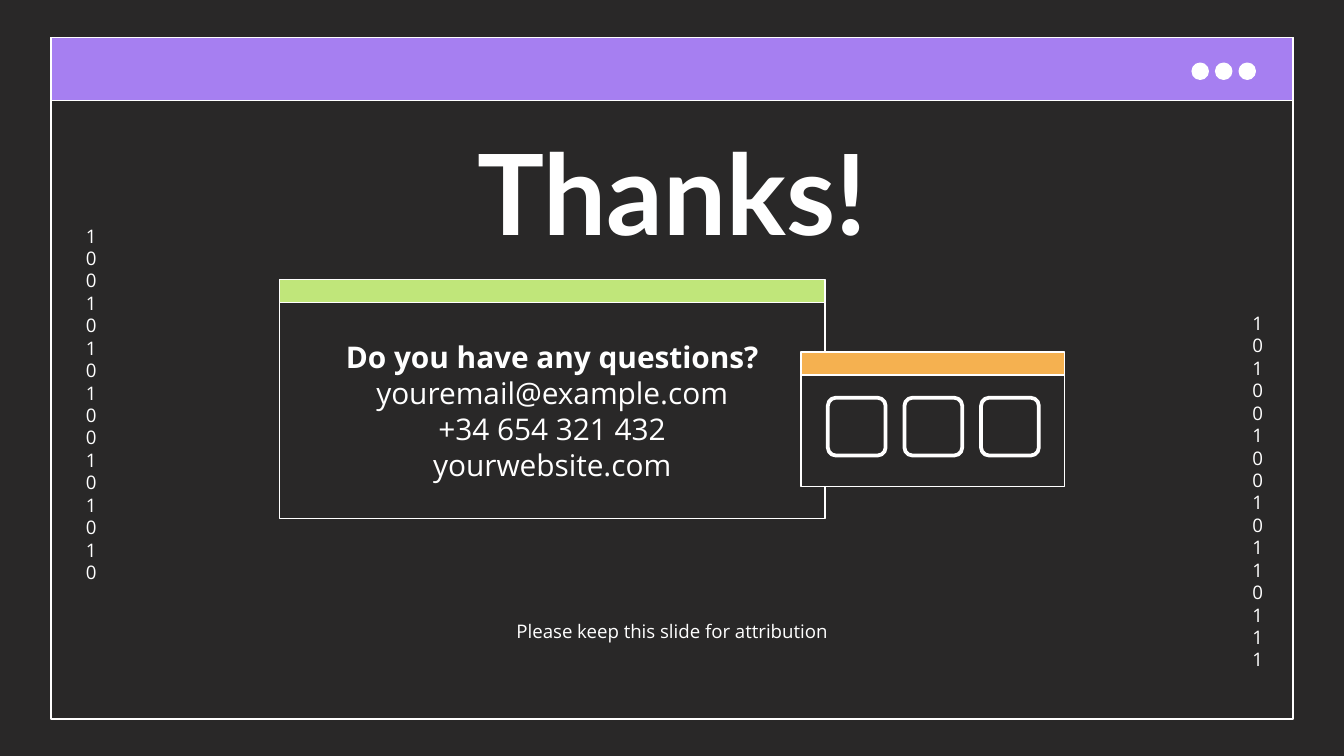
from pptx import Presentation
from pptx.dml.color import RGBColor
from pptx.enum.shapes import MSO_SHAPE
from pptx.enum.text import MSO_ANCHOR, PP_ALIGN
from pptx.util import Inches, Pt

DARK, WHITE = "292828", "FFFFFF"
PURPLE, GREEN, ORANGE = "A67FF1", "C0E67A", "F5B150"


def color(value):
    return RGBColor.from_string(value)


def add_panel(page, box, fill=None, kind=MSO_SHAPE.RECTANGLE, line_width=0.75):
    """Add a white-edged shape; no fill colour leaves it see-through."""
    panel = page.shapes.add_shape(kind, *map(Inches, box))
    panel.shadow.inherit = False
    if fill:
        panel.fill.solid()
        panel.fill.fore_color.rgb = color(fill)
    else:
        panel.fill.background()
    panel.line.color.rgb = color(WHITE)
    panel.line.width = Pt(line_width)
    return panel


def write_lines(shape, lines, size, font="Open Sans", bold_first=False,
                anchor=MSO_ANCHOR.TOP):
    frame = shape.text_frame
    frame.word_wrap = True
    frame.vertical_anchor = anchor
    for side in ("left", "top", "right", "bottom"):
        setattr(frame, f"margin_{side}", Inches(0.1))
    for index, line in enumerate(lines):
        para = frame.paragraphs[0] if index == 0 else frame.add_paragraph()
        para.alignment = PP_ALIGN.CENTER
        span = para.add_run()
        span.text = line
        style = {"name": font, "size": Pt(size), "bold": bold_first and index == 0}
        for name, value in style.items():
            setattr(span.font, name, value)
        span.font.color.rgb = color(WHITE)


def add_label(page, box, text, size, **style):
    label = page.shapes.add_textbox(*map(Inches, box))
    write_lines(label, [text], size, **style)


def add_browser_frame(page, box):
    left, top, width, _ = box
    add_panel(page, box)
    add_panel(page, (left, top, width, 0.47), PURPLE)
    for index in range(3):
        dot = (left + width - 0.75 + index * 0.175, top + 0.19, 0.12, 0.12)
        add_panel(page, dot, WHITE, MSO_SHAPE.OVAL)


def add_window(page, box, bar_color):
    """Add a window with a title bar and return its body below the bar."""
    left, top, width, height = box
    bar = 0.17
    body = add_panel(page, (left, top + bar, width, height - bar), DARK)
    add_panel(page, (left, top, width, bar), bar_color)
    return body


def add_contact_window(page, box):
    body = add_window(page, box, GREEN)
    lines = ["Do you have any questions?", "youremail@example.com",
             "+34 654 321 432", "yourwebsite.com"]
    write_lines(body, lines, 16, bold_first=True, anchor=MSO_ANCHOR.MIDDLE)


def add_social_window(page, box):
    left, top, _, _ = box
    add_window(page, box, ORANGE)
    for index in range(3):
        tile = (left + 0.2 + index * 0.57, top + 0.34, 0.43, 0.43)
        icon = add_panel(page, tile, None, MSO_SHAPE.ROUNDED_RECTANGLE, 2)
        icon.adjustments[0] = 0.14


def build_thanks_page(page):
    page.background.fill.solid()
    page.background.fill.fore_color.rgb = color(DARK)
    add_browser_frame(page, (0.38, 0.28, 9.24, 5.07))
    # The narrow boxes wrap after every digit.
    add_label(page, (9.22, 2.22, 0.24, 2.8), "1010010010110111", 10)
    add_label(page, (0.54, 1.57, 0.24, 2.8), "1001010100101010", 10)
    add_label(page, (2.57, 0.82, 4.86, 1.16), "Thanks!", 60,
              font="Lato", bold_first=True)
    add_label(page, (2.73, 4.53, 4.54, 0.28),
              "Please keep this slide for attribution", 10)
    add_contact_window(page, (2.08, 2.08, 4.06, 1.78))
    add_social_window(page, (5.96, 2.62, 1.96, 1))


def main():
    deck = Presentation()
    deck.slide_width = Inches(10)
    deck.slide_height = deck.slide_width * 9 // 16
    build_thanks_page(deck.slides.add_slide(deck.slide_layouts[6]))
    deck.save("out.pptx")


if __name__ == "__main__":
    main()
